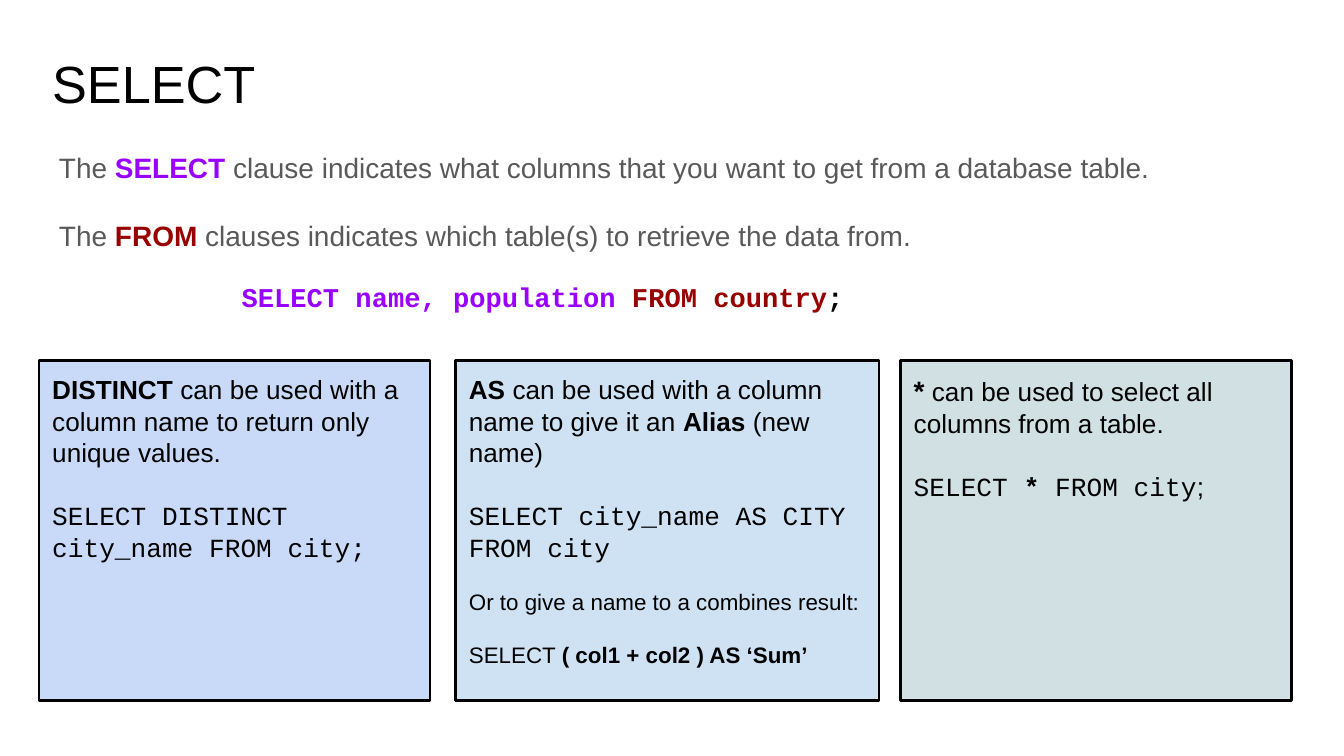
"""Build a slide explaining the SQL SELECT and FROM clauses."""
from pptx import Presentation
from pptx.dml.color import RGBColor
from pptx.enum.shapes import MSO_SHAPE
from pptx.enum.text import MSO_ANCHOR, PP_ALIGN
from pptx.util import Pt

COLORS = {
    "black": "000000",
    "body": "595959",
    "select": "9900FF",
    "from": "980000",
    "distinct": "C9DAF8",
    "alias": "CFE2F3",
    "star": "D0E0E3",
}
SANS, MONO = "Arial", "Courier New"
INSET = 7.2
CARD_TOP, CARD_HEIGHT = 193, 182.2


def rgb(name):
    return RGBColor.from_string(COLORS[name])


def run(text, size=14, color="black", bold=False, font=SANS):
    return text, size, color, bold, font


def para(*runs, before=0, spacing=None):
    return runs, before, spacing


def write(frame, paragraphs):
    frame.word_wrap = True
    frame.vertical_anchor = MSO_ANCHOR.TOP
    frame.margin_left = frame.margin_right = Pt(INSET)
    frame.margin_top = frame.margin_bottom = Pt(INSET)
    for index, (runs, before, spacing) in enumerate(paragraphs):
        line = frame.add_paragraph() if index else frame.paragraphs[0]
        line.alignment = PP_ALIGN.LEFT
        if before:
            line.space_before = Pt(before)
        if spacing:
            line.line_spacing = spacing
        for text, size, color, bold, font in runs:
            piece = line.add_run()
            piece.text = text
            piece.font.size = Pt(size)
            piece.font.name = font
            piece.font.bold = bold
            piece.font.color.rgb = rgb(color)


def add_text(slide, left, top, width, height, *paragraphs):
    box = slide.shapes.add_textbox(Pt(left), Pt(top), Pt(width), Pt(height))
    write(box.text_frame, paragraphs)


def add_card(slide, left, width, fill, *paragraphs):
    card = slide.shapes.add_shape(
        MSO_SHAPE.RECTANGLE, Pt(left), Pt(CARD_TOP), Pt(width), Pt(CARD_HEIGHT))
    card.shadow.inherit = False
    card.fill.solid()
    card.fill.fore_color.rgb = rgb(fill)
    card.line.color.rgb = rgb("black")
    card.line.width = Pt(1.5)
    write(card.text_frame, paragraphs)


def add_clauses(slide):
    add_text(
        slide, 24.5, 70.6, 671, 77,
        para(run("The ", 15, "body"), run("SELECT ", 15, "select", True),
             run("clause indicates what columns that you want to get from a database table.",
                 15, "body"), spacing=1.15),
        para(run("The ", 15, "body"), run("FROM ", 15, "from", True),
             run("clauses indicates which table(s) to retrieve the data from.", 15, "body"),
             before=16, spacing=1.15))
    add_text(
        slide, 122.4, 143.3, 372.2, 45.4,
        para(run("SELECT name, population ", 14.5, "select", True, MONO),
             run("FROM country", 14.5, "from", True, MONO),
             run(";", 14.5, "black", True, MONO)))


def add_keywords(slide):
    add_card(
        slide, 20.9, 209.5, "distinct",
        para(run("DISTINCT", bold=True),
             run(" can be used with a column name to return only unique values.")),
        para(run("SELECT DISTINCT city_name FROM city;", font=MONO), before=17))
    add_card(
        slide, 244.1, 226.8, "alias",
        para(run("AS", bold=True), run(" can be used with a column name to give it an "),
             run("Alias ", bold=True), run("(new name)")),
        para(run("SELECT city_name AS CITY FROM city", font=MONO), before=17),
        para(run("Or to give a name to a combines result:", 12), before=14),
        para(run("SELECT ", 12), run("( col1 + col2 ) AS ‘Sum’", 12, bold=True), before=14))
    add_card(
        slide, 482.4, 209.5, "star",
        para(run("*", 15, bold=True), run(" ", bold=True),
             run("can be used to select all columns from a table.")),
        para(run("SELECT ", font=MONO), run("*", bold=True, font=MONO),
             run(" FROM city", font=MONO), run(";"), before=17))


def main():
    deck = Presentation()
    deck.slide_width, deck.slide_height = Pt(720), Pt(405)
    slide = deck.slides.add_slide(deck.slide_layouts[6])
    add_text(slide, 20.9, 20.2, 671, 45.4, para(run("SELECT", 28)))
    add_clauses(slide)
    add_keywords(slide)
    deck.save("out.pptx")


if __name__ == "__main__":
    main()
